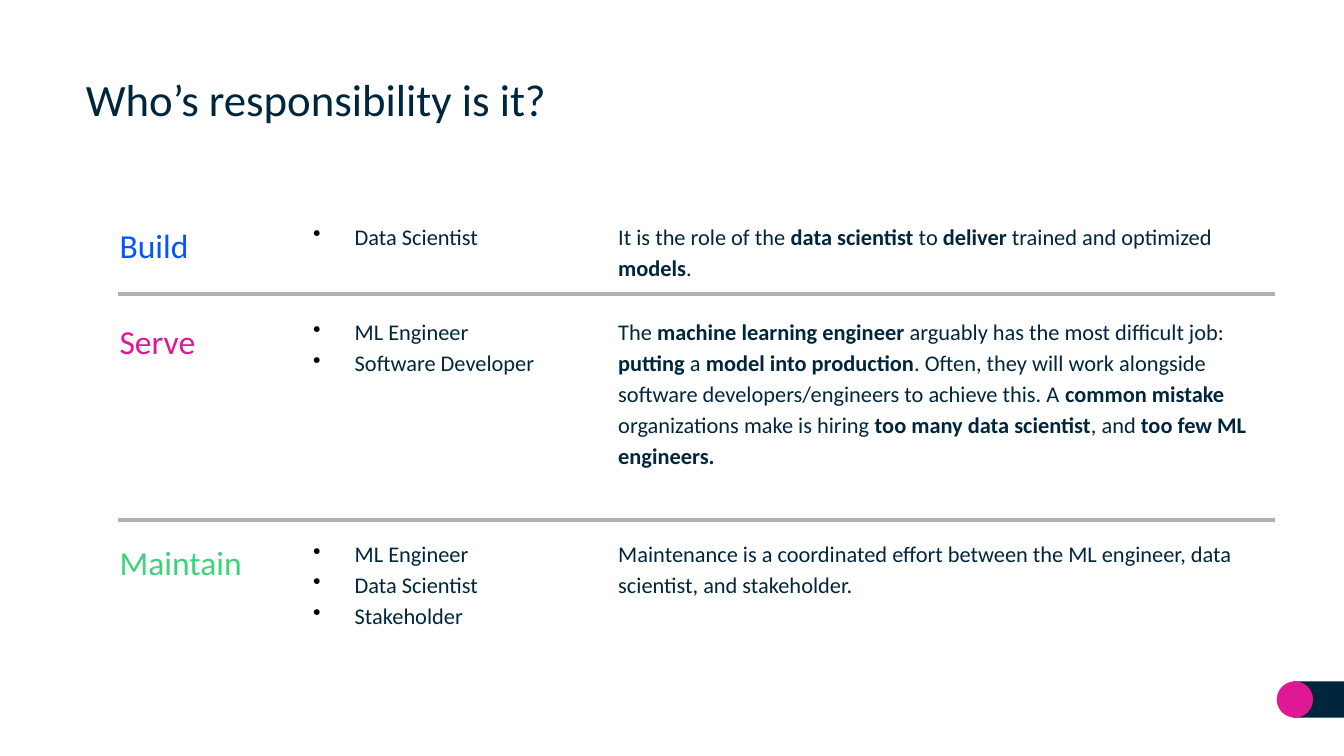
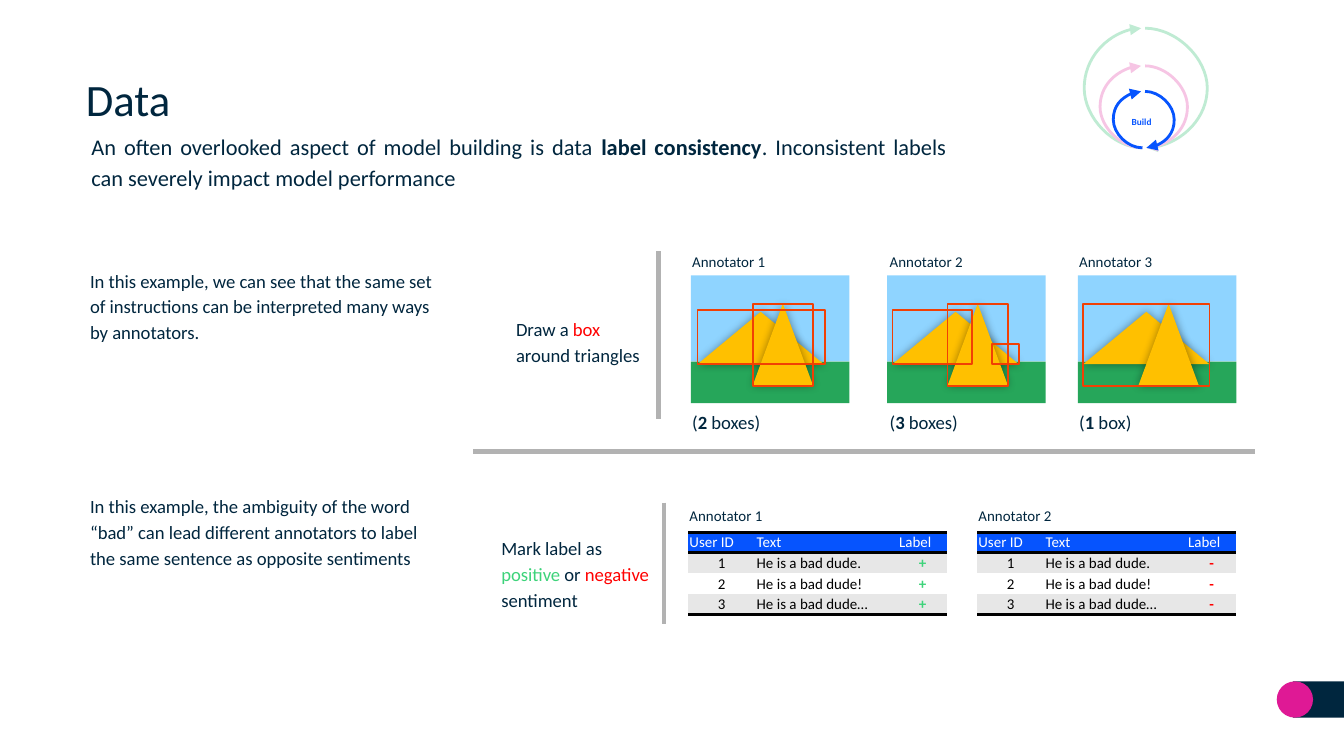
from dataclasses import dataclass
from lxml import etree
from pptx import Presentation
from pptx.dml.color import RGBColor
from pptx.enum.shapes import MSO_CONNECTOR, MSO_SHAPE
from pptx.enum.text import MSO_ANCHOR, MSO_AUTO_SIZE, PP_ALIGN
from pptx.oxml.ns import qn
from pptx.util import Emu, Pt

RECT, OVAL, PEAK = MSO_SHAPE.RECTANGLE, MSO_SHAPE.OVAL, MSO_SHAPE.ISOSCELES_TRIANGLE
LINE, CURVE = MSO_CONNECTOR.STRAIGHT, MSO_CONNECTOR.CURVE
LEFT, MID, JUST = PP_ALIGN.LEFT, PP_ALIGN.CENTER, PP_ALIGN.JUSTIFY
FIT, FIXED = MSO_AUTO_SIZE.SHAPE_TO_FIT_TEXT, MSO_AUTO_SIZE.NONE
CENTER, TOP = MSO_ANCHOR.MIDDLE, MSO_ANCHOR.TOP
PLAIN = "{2D5ABB26-0587-4C30-8999-92F81FD0307C}"


@dataclass(frozen=True)
class Theme:
    font: str = "Calibri"
    ink: str = "00263E"
    blue: str = "0654FE"
    pink: str = "DF1995"
    green: str = "3DD37A"
    leaf: str = "00B050"
    red: str = "FF0000"
    rule: str = "B2B2B2"
    black: str = "000000"
    white: str = "FFFFFF"
    band: str = "E7E7E7"
    sky: str = "8FD4FF"
    grass: str = "26A65A"
    gold: str = "FFC000"
    frame: str = "F14004"
    title: int = 24
    head: int = 18
    body: int = 12
    note: int = 10
    small: int = 8
    tiny: int = 5


T = Theme()
TONES = {"box": T.red, "positive": T.green, "negative": T.red}

ROLES = [
    (162, "Build", T.blue, ["Data Scientist"],
     "It is the role of the *data scientist* to *deliver* trained and optimized *models*."),
    (233, "Serve", T.pink, ["ML Engineer", "Software Developer"],
     "The *machine learning engineer* arguably has the most difficult job: "
     "*putting* a *model into production*. Often, they will work alongside "
     "software developers/engineers to achieve this. A *common mistake* "
     "organizations make is hiring *too many data scientist*, and "
     "*too few ML engineers.*"),
    (398, "Maintain", T.green, ["ML Engineer", "Data Scientist", "Stakeholder"],
     "Maintenance is a coordinated effort between the ML engineer, "
     "data scientist, and stakeholder."),
]
ROLE_RULES = [(88, 219, 949, 219), (88, 387, 949, 387)]

NOTES = [
    ((67, 95, 638, 48), T.body, JUST,
     "An often overlooked aspect of model building is data *label consistency*. "
     "Inconsistent labels can severely impact model performance"),
    ((66, 197, 259, 79), T.note, LEFT,
     "In this example, we can see that the same set of instructions "
     "can be interpreted many ways by annotators."),
    ((66, 365, 259, 79), T.note, LEFT,
     "In this example, the ambiguity of the word “bad” can lead different "
     "annotators to label the same sentence as opposite sentiments"),
    ((383, 233, 96, 60), T.note, LEFT, "Draw a *box* around triangles"),
    ((372, 396, 118, 79), T.note, LEFT,
     "Mark label as *positive* or *negative* sentiment"),
]
DATA_RULES = [(490, 187, 490, 312), (494, 374, 494, 464), (352, 336, 934, 336)]

TALL = (41, 21, 45, 61)
SCENES = [
    (514, 519, 514, "(*2* boxes)", [(0, 26, 95, 40), TALL]),
    (660, 664, 661, "(*3* boxes)", [(0, 26, 59, 40), TALL, (74, 51, 20, 15)]),
    (802, 806, 802, "(*1* box)", [(0, 21, 94, 61)]),
]
HEADS = ["User ID", "Text", "Label"]
LINES = ["He is a bad dude.", "He is a bad dude!", "He is a bad dude…"]
VOTES = [(512, "+", T.green), (727, "-", T.red)]
WIDTHS = [50, 106, 37]
LOOPS = [(21, 44, 47, T.leaf), (49, 32, 32, T.pink), (68, 22, 22, T.blue)]


def px(n):
    return Emu(n * 9144)


def rgb(tone):
    return RGBColor.from_string(tone)


def sub(node, tag, **attrs):
    return etree.SubElement(node, qn(tag), attrs)


def paint(fill, tone):
    fill.solid()
    fill.fore_color.rgb = rgb(tone)


def shape(slide, kind, at, fill=None, edge=None):
    item = slide.shapes.add_shape(kind, *map(px, at))
    item.shadow.inherit = False
    if fill:
        paint(item.fill, fill)
    else:
        item.fill.background()
    if edge:
        item.line.color.rgb = rgb(edge)
        item.line.width = Pt(1)
    else:
        item.line.fill.background()
    return item


def write(para, words, size, tone, align=LEFT):
    para.alignment = align
    font = para.font
    font.name, font.size = T.font, Pt(size)
    font.color.rgb = rgb(tone)
    for n, part in enumerate(words.split("*")):
        if not part:
            continue
        run = para.add_run()
        run.text = part
        if n % 2:
            if part in TONES:
                run.font.color.rgb = rgb(TONES[part])
            else:
                run.font.bold = True


def dot(para):
    props = para._p.get_or_add_pPr()
    props.set("marL", str(px(31)))
    props.set("indent", str(px(-31)))
    sub(sub(props, "a:buClr"), "a:srgbClr", val=T.black)
    sub(props, "a:buChar", char="•")


def text(slide, at, words, size, tone=T.ink, align=LEFT, bullet=False,
         inset=1, anchor=TOP, space=1.15, fit=FIT):
    frame = slide.shapes.add_textbox(*map(px, at)).text_frame
    frame.word_wrap = True
    frame.auto_size = fit
    frame.vertical_anchor = anchor
    frame.margin_left = frame.margin_right = px(inset)
    frame.margin_top = frame.margin_bottom = px(inset)
    for n, line in enumerate([words] if isinstance(words, str) else words):
        para = frame.add_paragraph() if n else frame.paragraphs[0]
        para.line_spacing = space
        if bullet:
            dot(para)
        write(para, line, size, tone, align)


def link(slide, kind, ends, tone, width):
    item = slide.shapes.add_connector(kind, *map(px, ends))
    item.line.color.rgb = rgb(tone)
    item.line.width = Pt(width)
    sub(item._element.spPr, "a:effectLst")
    return item


def rules(slide, ends):
    for spot in ends:
        link(slide, LINE, spot, T.rule, 2.25)


def arc(slide, ends, bulge, tone, turn=False):
    item = link(slide, CURVE, ends, tone, 1.5)
    sub(item.line._get_or_add_ln(), "a:tailEnd", type="triangle")
    props = item._element.spPr
    if turn:
        props.find(qn("a:xfrm")).set("rot", "10800000")
    guides = props.find(qn("a:prstGeom")).find(qn("a:avLst"))
    sub(guides, "a:gd", name="adj1", fmla=f"val {bulge * 100000}")


def loops(slide):
    for top, west, east, tone in LOOPS:
        if tone == T.blue:
            veil = shape(slide, OVAL, (802, 15, 100, 100), T.white)
            hue = next(veil._element.spPr.iter(qn("a:srgbClr")))
            sub(hue, "a:alpha", val="75000")
        arc(slide, (849, top, 850, 110), west, tone, True)
        arc(slide, (852, top, 853, 110), east, tone)
    text(slide, (813, 84, 73, 12), "*Build*", T.tiny, T.blue, MID)


def peak(slide, at):
    item = shape(slide, PEAK, at, T.gold)
    glow = sub(item._element.spPr.find(qn("a:effectLst")), "a:outerShdw",
               blurRad=str(Pt(5)), dist="0", dir="0", algn="ctr", rotWithShape="0")
    sub(sub(glow, "a:srgbClr", val=T.black), "a:alpha", val="40000")


def scene(slide, left, base, boxes):
    top = 205
    shape(slide, RECT, (left, top, 118, 64), T.sky)
    shape(slide, RECT, (left, top + 64, 118, 31), T.grass)
    peak(slide, (base, top + 27, 94, 39))
    peak(slide, (base + TALL[0], top + TALL[1], *TALL[2:]))
    for x, y, wide, high in boxes:
        shape(slide, RECT, (base + x, top + y, wide, high), edge=T.frame)


def border(cell, tag):
    line = etree.Element(qn(tag), w=str(Pt(2)))
    sub(sub(line, "a:solidFill"), "a:srgbClr", val=T.black)
    cell._tc.get_or_add_tcPr().insert(0, line)


def grid(slide, left, sign, tone):
    rows = [HEADS] + [[str(n), line, f"*{sign}*"] for n, line in enumerate(LINES, 1)]
    spot = (left, 396, sum(WIDTHS), 14 * len(rows))
    item = slide.shapes.add_table(len(rows), len(HEADS), *map(px, spot))
    next(item._element.iter(qn("a:tableStyleId"))).text = PLAIN
    table = item.table
    table.first_row = table.horz_banding = False
    for col, wide in zip(table.columns, WIDTHS):
        col.width = px(wide)
    for r, row in enumerate(rows):
        for c, words in enumerate(row):
            cell = table.cell(r, c)
            cell.margin_left = cell.margin_right = px(1)
            cell.margin_top = cell.margin_bottom = px(1)
            paint(cell.fill, T.blue if r == 0 else T.band if r % 2 else T.white)
            ink = T.white if r == 0 else tone if c == 2 else T.black
            align = MID if r and c != 1 else LEFT
            write(cell.text_frame.paragraphs[0], words, T.small, ink, align)
            if r in (0, len(rows) - 1):
                border(cell, "a:lnB")
            if r == 0:
                border(cell, "a:lnT")


def page(deck, title):
    slide = deck.slides.add_slide(deck.slide_layouts[6])
    shape(slide, RECT, (962, 507, 38, 27), T.ink)
    shape(slide, OVAL, (950, 507, 27, 27), T.pink)
    text(slide, (54, 46, 895, 55), title, T.title, inset=10, anchor=CENTER,
         space=1.0, fit=FIXED)
    return slide


def roles(deck):
    slide = page(deck, "Who’s responsibility is it?")
    for top, stage, tone, team, task in ROLES:
        text(slide, (88, top, 122, 37), stage, T.head, tone, JUST)
        text(slide, (232, top, 206, 24 * len(team)), team, T.body, align=JUST, bullet=True)
        text(slide, (459, top, 488, 48), task, T.body)
    rules(slide, ROLE_RULES)


def data(deck):
    slide = page(deck, "Data")
    loops(slide)
    for at, size, align, words in NOTES:
        text(slide, at, words, size, align=align)
    for n, (left, base, label, count, boxes) in enumerate(SCENES, 1):
        scene(slide, left, base, boxes)
        text(slide, (label, 185, 88, 18), f"Annotator {n}", T.small, align=JUST)
        text(slide, (label, 302, 88, 21), count, T.note, align=JUST)
    for n, (left, sign, tone) in enumerate(VOTES, 1):
        text(slide, (left, 374, 88, 18), f"Annotator {n}", T.small, align=JUST)
        grid(slide, left, sign, tone)
    rules(slide, DATA_RULES)


def main():
    deck = Presentation()
    deck.slide_width = px(1000)
    deck.slide_height = Emu(px(1000) * 9 // 16)
    roles(deck)
    data(deck)
    deck.save("out.pptx")


if __name__ == "__main__":
    main()
